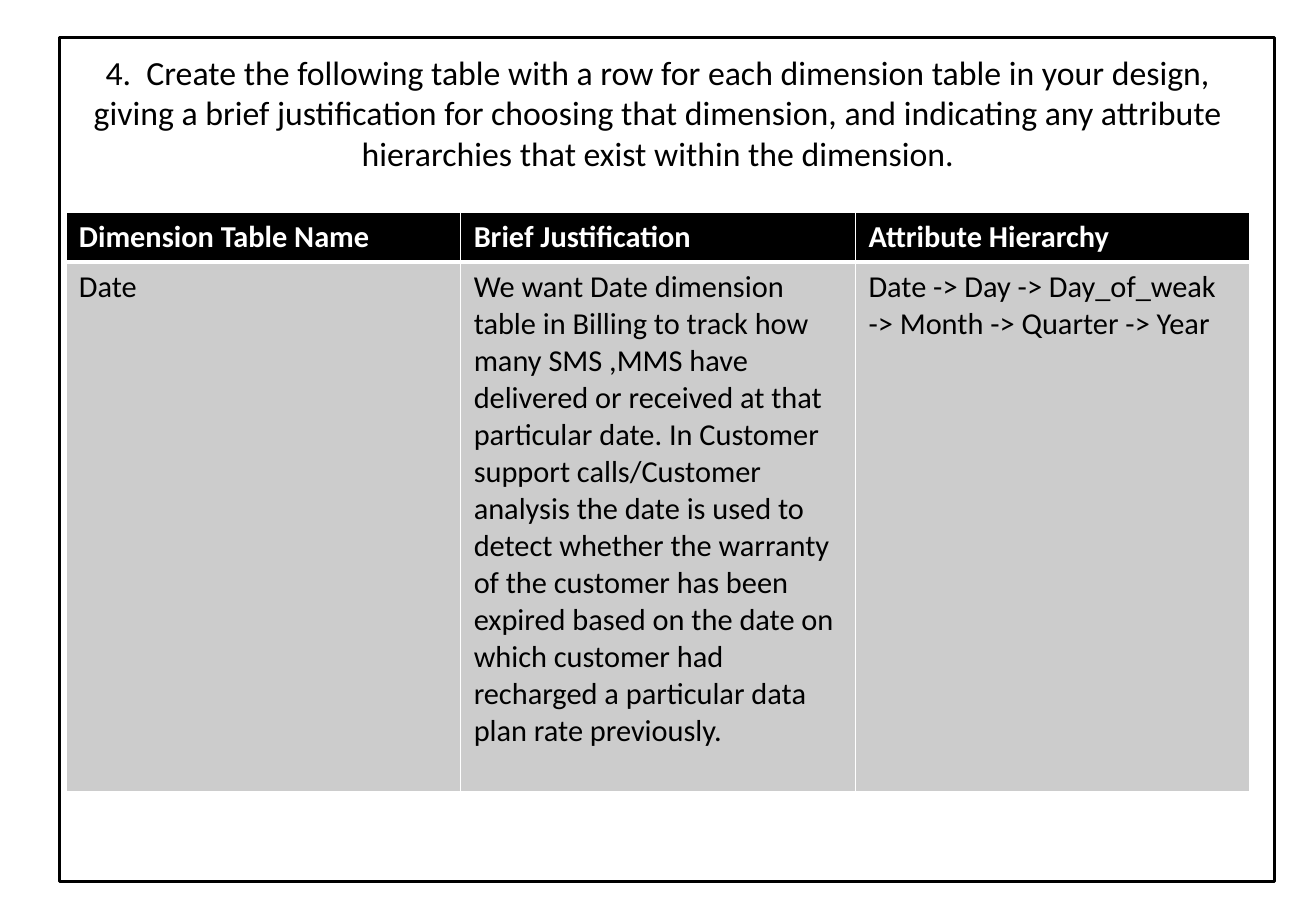
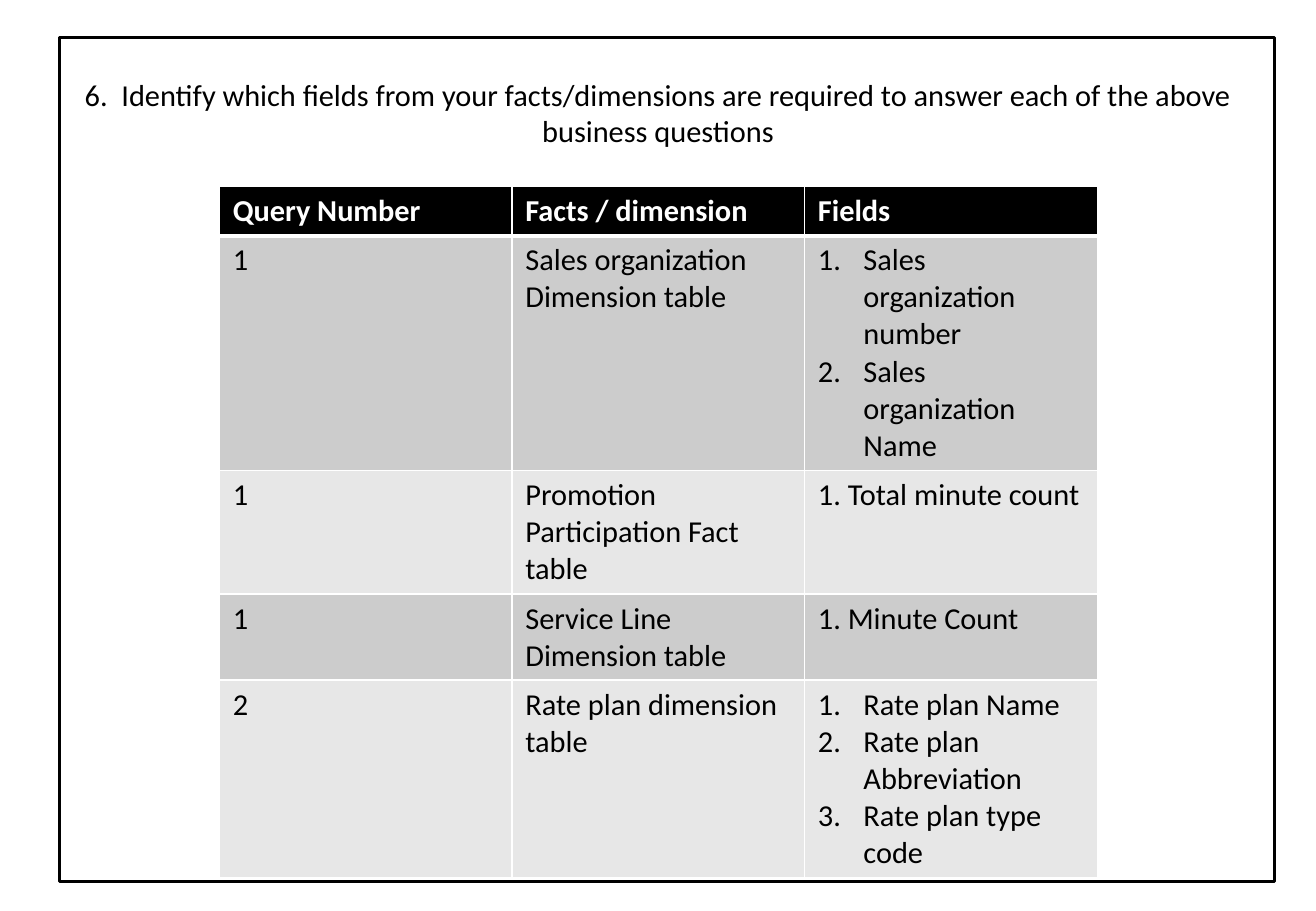
from lxml.etree import SubElement
from pptx import Presentation
from pptx.dml.color import RGBColor
from pptx.enum.shapes import MSO_SHAPE as Shape
from pptx.enum.text import MSO_ANCHOR as Anchor, PP_ALIGN as Align
from pptx.oxml.ns import qn
from pptx.util import Pt

PX = 7620  # EMU per px, 120 px to the inch
FONT = "Calibri"
BLACK, WHITE = "000000", "FFFFFF"
BAND_DARK, BAND_LIGHT = "CCCCCC", "E7E7E7"
INSET_X, INSET_Y = 13, 6
LIST_INDENT = 45
BLANK_LAYOUT = 6

DIMENSION_ROWS = [
    ("Dimension Table Name", "Brief Justification", "Attribute Hierarchy"),
    ("Date",
     "We want Date dimension table in Billing to track how many SMS ,MMS have "
     "delivered or received at that particular date. In Customer support "
     "calls/Customer analysis the date is used to detect whether the warranty "
     "of the customer has been expired based on the date on which customer had "
     "recharged a particular data plan rate previously.",
     "Date -> Day -> Day_of_weak -> Month -> Quarter -> Year"),
]

# A list in a cell becomes a numbered list
FIELD_ROWS = [
    ("Query Number", "Facts / dimension", "Fields"),
    ("1", "Sales organization Dimension table",
     ["Sales organization number", "Sales organization Name"]),
    ("1", "Promotion Participation Fact table", "1. Total minute count"),
    ("1", "Service Line Dimension table", "1. Minute Count"),
    ("2", "Rate plan dimension table",
     ["Rate plan Name", "Rate plan Abbreviation", "Rate plan type code"]),
]


def color(value):
    return RGBColor.from_string(value)


def box(left, top, width, height):
    return [length * PX for length in (left, top, width, height)]


def add_run(paragraph, text, size, text_color, bold=False):
    run = paragraph.add_run()
    run.text = text
    run.font.name = FONT
    run.font.size = Pt(size)
    run.font.bold = bold
    run.font.color.rgb = color(text_color)


def set_insets(target):
    target.margin_left = target.margin_right = INSET_X * PX
    target.margin_top = target.margin_bottom = INSET_Y * PX


def add_frame(slide):
    frame = slide.shapes.add_shape(Shape.RECTANGLE, *box(59, 37, 1200, 834))
    frame.shadow.inherit = False
    frame.fill.solid()
    frame.fill.fore_color.rgb = color(WHITE)
    frame.line.color.rgb = color(BLACK)
    frame.line.width = Pt(2)


def add_title(slide, text, size):
    text_frame = slide.shapes.add_textbox(*box(65, 36, 1170, 150)).text_frame
    text_frame.word_wrap = True
    text_frame.vertical_anchor = Anchor.MIDDLE
    set_insets(text_frame)
    paragraph = text_frame.paragraphs[0]
    paragraph.alignment = Align.CENTER
    add_run(paragraph, text, size, BLACK)


def add_framed_slide(presentation, title, title_size):
    slide = presentation.slides.add_slide(presentation.slide_layouts[BLANK_LAYOUT])
    add_frame(slide)
    add_title(slide, title, title_size)
    return slide


def set_borders(cell, top, bottom):
    properties = cell._tc.get_or_add_tcPr()
    for side, points in (("L", 1), ("R", 1), ("T", top), ("B", bottom)):
        line = SubElement(properties, qn(f"a:ln{side}"), w=str(Pt(points)))
        fill = SubElement(line, qn("a:solidFill"))
        SubElement(fill, qn("a:srgbClr"), val=WHITE)


def number_paragraph(paragraph):
    properties = paragraph._p.get_or_add_pPr()
    properties.set("marL", str(LIST_INDENT * PX))
    properties.set("indent", str(-LIST_INDENT * PX))
    SubElement(properties, qn("a:buFont"), typeface="+mj-lt")
    SubElement(properties, qn("a:buAutoNum"), type="arabicPeriod")


def fill_cell(cell, content, row_index):
    is_header = row_index == 0
    # The rule under the header is heavier than the others
    set_borders(cell, 3 if row_index == 1 else 1, 3 if is_header else 1)
    band = BAND_DARK if row_index % 2 else BAND_LIGHT
    cell.fill.solid()
    cell.fill.fore_color.rgb = color(BLACK if is_header else band)
    set_insets(cell)
    numbered = isinstance(content, list)
    text_frame = cell.text_frame
    for index, text in enumerate(content if numbered else [content]):
        paragraph = text_frame.add_paragraph() if index else text_frame.paragraphs[0]
        if numbered:
            number_paragraph(paragraph)
        add_run(paragraph, text, 18, WHITE if is_header else BLACK, is_header)


def add_data_table(slide, left, top, column_width, row_heights, rows):
    column_count = len(rows[0])
    area = box(left, top, column_width * column_count, sum(row_heights))
    table = slide.shapes.add_table(len(rows), column_count, *area).table
    table.first_row = table.horz_banding = False
    for column in table.columns:
        column.width = column_width * PX
    for row_index, (contents, height) in enumerate(zip(rows, row_heights)):
        table.rows[row_index].height = height * PX
        for column_index, content in enumerate(contents):
            fill_cell(table.cell(row_index, column_index), content, row_index)


def main():
    presentation = Presentation()
    presentation.slide_width = 1300 * PX
    presentation.slide_height = 900 * PX

    # Dimension tables
    slide = add_framed_slide(
        presentation,
        "4.  Create the following table with a row for each dimension table in "
        "your design, giving a brief justification for choosing that dimension, "
        "and indicating any attribute hierarchies that exist within the dimension.",
        20)
    add_data_table(slide, 65, 210, 390, [49, 523], DIMENSION_ROWS)

    # Required fields
    slide = add_framed_slide(
        presentation,
        "6.  Identify which fields from your facts/dimensions are required to "
        "answer each of the above business questions",
        18)
    add_data_table(slide, 217, 184, 289, [49, 232, 122, 85, 195], FIELD_ROWS)

    presentation.save("out.pptx")


if __name__ == "__main__":
    main()
